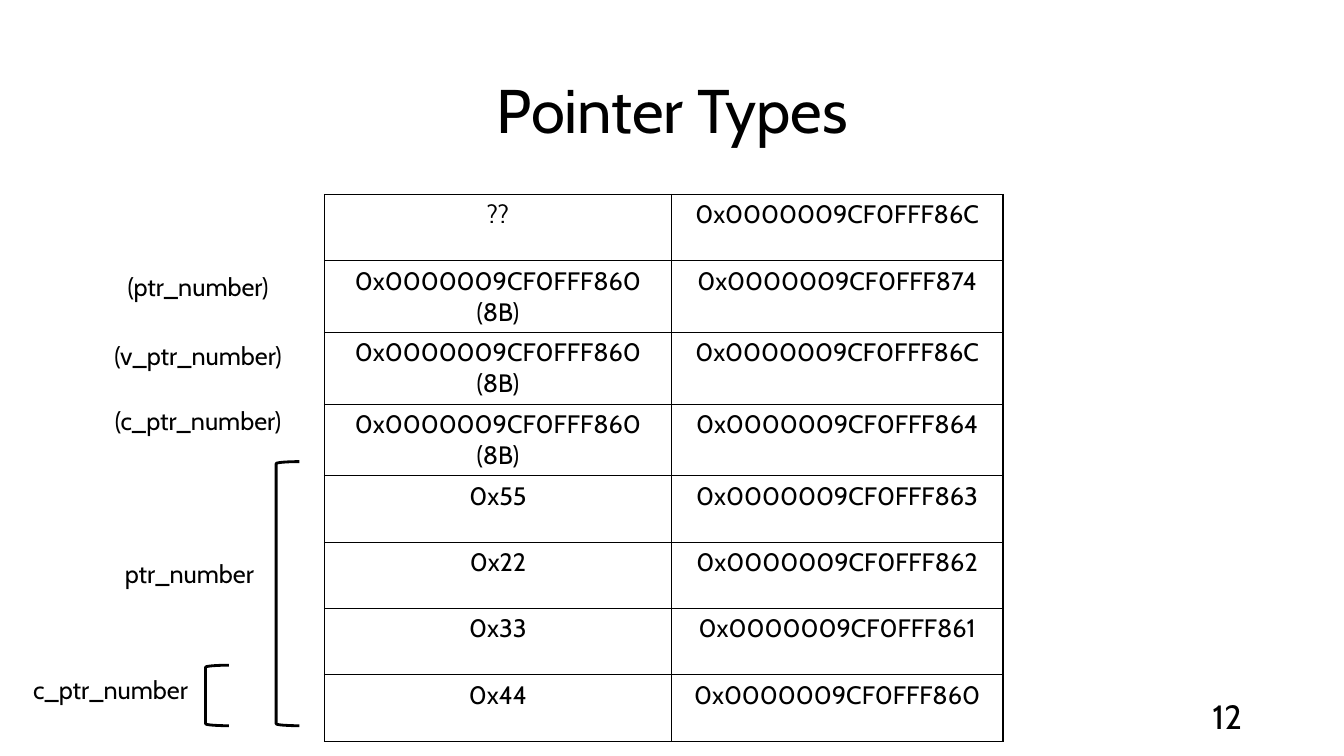
from dataclasses import dataclass

from lxml import etree
from pptx import Presentation
from pptx.dml.color import RGBColor
from pptx.enum.shapes import MSO_SHAPE
from pptx.enum.text import MSO_ANCHOR, MSO_AUTO_SIZE, PP_ALIGN
from pptx.oxml.ns import qn
from pptx.slide import Slide
from pptx.table import _Cell
from pptx.text.text import TextFrame
from pptx.util import Inches, Pt

LEFT, CENTER, RIGHT = PP_ALIGN.LEFT, PP_ALIGN.CENTER, PP_ALIGN.RIGHT
TOP, MIDDLE = MSO_ANCHOR.TOP, MSO_ANCHOR.MIDDLE
LEFT_BRACKET = MSO_SHAPE.LEFT_BRACKET
FIT_SHAPE = MSO_AUTO_SIZE.SHAPE_TO_FIT_TEXT
BLACK = RGBColor(0, 0, 0)
FONT = "Cabin"
SLIDE_WIDTH, SLIDE_HEIGHT = Inches(13.333), Inches(7.5)
TITLE_ONLY = 5

LINE_ROWS = 5.33
MEMORY_LEFT, MEMORY_TOP = 24.15, 25.73
MEMORY_COLUMNS = (25.8, 24.68)
MEMORY_ROW = 8.78
BRACKET_WIDTH, BRACKET_BOTTOM = 1.73, 96
POINTER_LEFT, POINTER_WIDTH = 6.9, 15.68

POINTER_VALUE = "0x0000009CF0FFF860 (8B)"
MEMORY = (
    ("??", "0x0000009CF0FFF86C"),
    (POINTER_VALUE, "0x0000009CF0FFF874"),
    (POINTER_VALUE, "0x0000009CF0FFF86C"),
    (POINTER_VALUE, "0x0000009CF0FFF864"),
    ("0x55", "0x0000009CF0FFF863"),
    ("0x22", "0x0000009CF0FFF862"),
    ("0x33", "0x0000009CF0FFF861"),
    ("0x44", "0x0000009CF0FFF860"),
)


@dataclass(frozen=True)
class Label:
    text: str
    left: float
    top: float
    width: float
    align: PP_ALIGN = CENTER
    size: int = 18
    anchor: MSO_ANCHOR = TOP
    wrap: bool = True


@dataclass(frozen=True)
class Bracket:
    left: float
    top: float


LABELS = (
    Label("12", 70.65, 92, 22.5, RIGHT, 24, MIDDLE),
    Label("ptr_number", 8.55, 73.2, 11.1, LEFT, wrap=False),
    Label("c_ptr_number", 1.73, 88.53, 13.65, LEFT),
    Label("(c_ptr_number)", POINTER_LEFT, 52.93, POINTER_WIDTH),
    Label("(v_ptr_number)", POINTER_LEFT, 44.4, POINTER_WIDTH),
    Label("(ptr_number)", POINTER_LEFT, 35.2, POINTER_WIDTH),
)
BRACKETS = (Bracket(20.55, 61.07), Bracket(15.3, 88))


def across(columns: float) -> int:
    return round(SLIDE_WIDTH * columns / 100)


def down(rows: float) -> int:
    return round(SLIDE_HEIGHT * rows / 100)


def area(left: float, top: float, width: float, height: float) -> tuple[int, int, int, int]:
    return across(left), down(top), across(width), down(height)


def write(frame: TextFrame, text: str, size: int, align: PP_ALIGN) -> None:
    paragraph = frame.paragraphs[0]
    paragraph.alignment = align
    run = paragraph.add_run()
    run.text = text
    run.font.name = FONT
    run.font.size = Pt(size)
    run.font.color.rgb = BLACK


def add_title(slide: Slide, text: str) -> None:
    title = slide.shapes.title
    title.left, title.top, title.width, title.height = area(6.9, 5.33, 86.25, 19.33)
    title.text_frame.vertical_anchor = MIDDLE
    write(title.text_frame, text, 44, CENTER)
    title.text_frame.paragraphs[0].line_spacing = 0.9


def add_label(slide: Slide, label: Label) -> None:
    box = slide.shapes.add_textbox(*area(label.left, label.top, label.width, LINE_ROWS))
    frame = box.text_frame
    frame.word_wrap = label.wrap
    frame.vertical_anchor = label.anchor
    if label.anchor == TOP:
        frame.auto_size = FIT_SHAPE
    write(frame, label.text, label.size, label.align)


def add_bracket(slide: Slide, bracket: Bracket) -> None:
    height = BRACKET_BOTTOM - bracket.top
    shape = slide.shapes.add_shape(
        LEFT_BRACKET, *area(bracket.left, bracket.top, BRACKET_WIDTH, height)
    )
    shape.shadow.inherit = False
    shape.fill.background()
    shape.line.color.rgb = BLACK
    shape.line.width = Pt(2)


def add_borders(cell: _Cell) -> None:
    properties = cell._tc.get_or_add_tcPr()
    for side in ("a:lnL", "a:lnR", "a:lnT", "a:lnB"):
        line = etree.SubElement(properties, qn(side), w=str(Pt(1)))
        fill = etree.SubElement(line, qn("a:solidFill"))
        etree.SubElement(fill, qn("a:srgbClr"), val=str(BLACK))


def add_memory(slide: Slide) -> None:
    place = area(MEMORY_LEFT, MEMORY_TOP, sum(MEMORY_COLUMNS), MEMORY_ROW * len(MEMORY))
    table = slide.shapes.add_table(len(MEMORY), len(MEMORY_COLUMNS), *place).table
    table.first_row = False
    table.horz_banding = False
    for column, width in zip(table.columns, MEMORY_COLUMNS):
        column.width = across(width)
    for row, values in zip(table.rows, MEMORY):
        row.height = down(MEMORY_ROW)
        for cell, value in zip(row.cells, values):
            add_borders(cell)
            cell.fill.background()
            write(cell.text_frame, value, 18, CENTER)


def main() -> None:
    presentation = Presentation()
    presentation.slide_width = SLIDE_WIDTH
    presentation.slide_height = SLIDE_HEIGHT
    slide = presentation.slides.add_slide(presentation.slide_layouts[TITLE_ONLY])
    add_title(slide, "Pointer Types")
    add_memory(slide)
    for bracket in BRACKETS:
        add_bracket(slide, bracket)
    for label in LABELS:
        add_label(slide, label)
    presentation.save("out.pptx")


if __name__ == "__main__":
    main()
